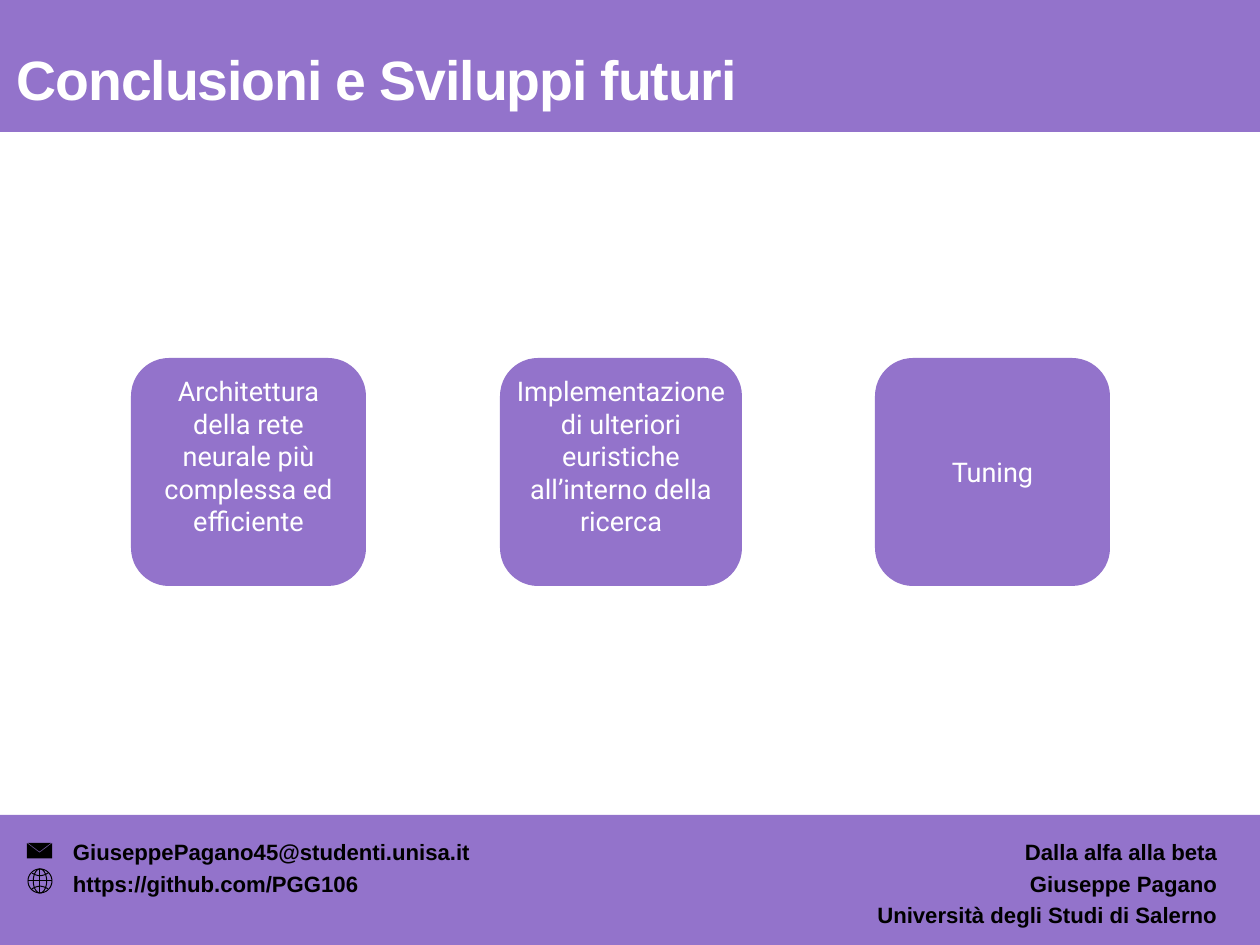
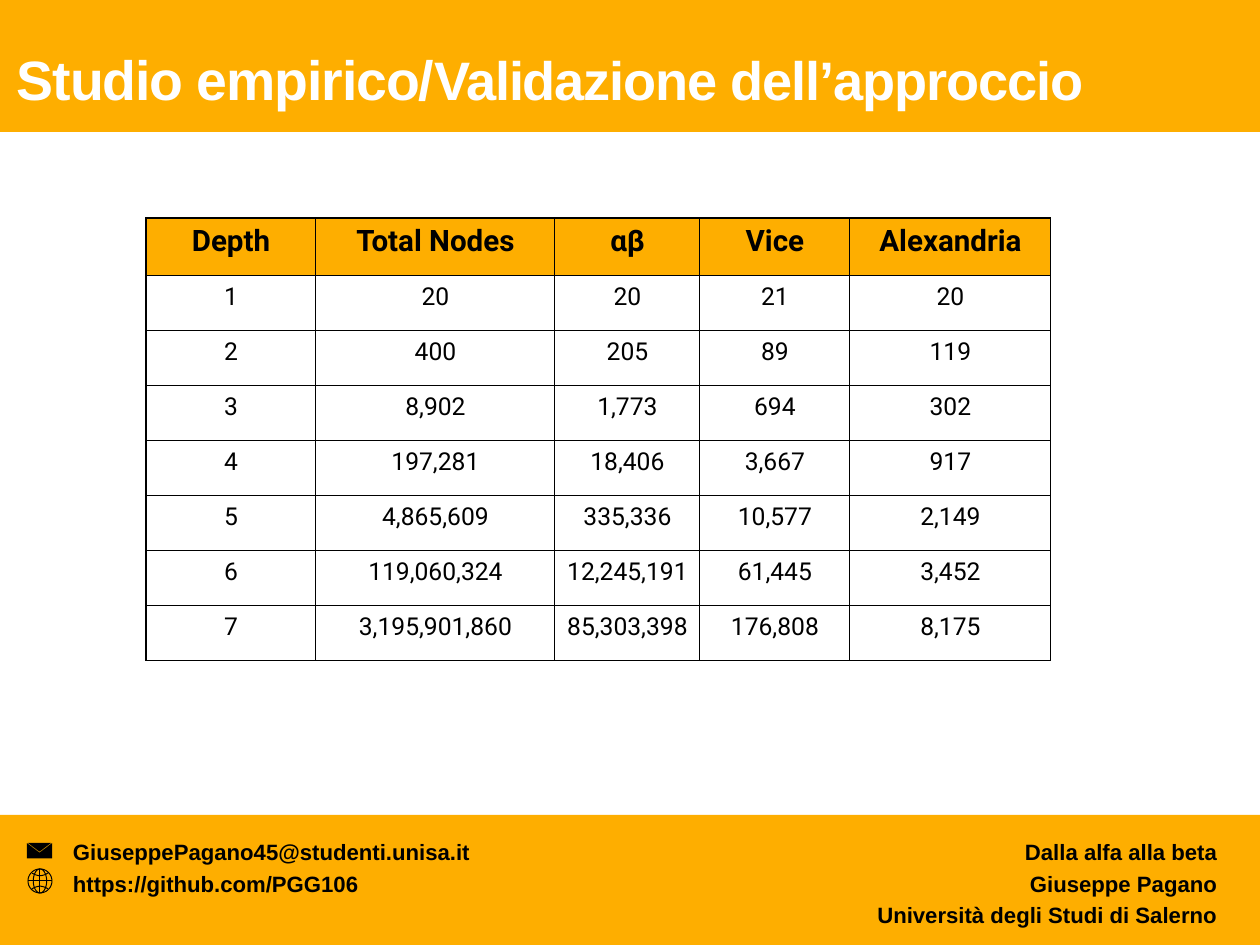
import math
from lxml import etree
from pptx import Presentation
from pptx import util as u
from pptx.dml.color import RGBColor
from pptx.enum import shapes, text
from pptx.oxml.ns import qn

PX = 10320
WIDTH, HEIGHT = 1260, 945
PURPLE = RGBColor(0x93, 0x73, 0xCB)
AMBER = RGBColor(0xFE, 0xAE, 0x00)
WHITE = RGBColor(0xFF, 0xFF, 0xFF)
BLACK = RGBColor(0x00, 0x00, 0x00)
LEFT, CENTER, RIGHT = text.PP_ALIGN.LEFT, text.PP_ALIGN.CENTER, text.PP_ALIGN.RIGHT
MIDDLE, BOTTOM = text.MSO_ANCHOR.MIDDLE, text.MSO_ANCHOR.BOTTOM


def write(shape, content, size, font, color, bold, align, spacing, anchor=MIDDLE, bottom=5):
    frame = shape.text_frame
    frame.word_wrap = True
    frame.vertical_anchor = anchor
    frame.margin_left = frame.margin_right = frame.margin_top = 5 * PX
    frame.margin_bottom = bottom * PX
    frame.text = content
    for paragraph in frame.paragraphs:
        paragraph.alignment = align
        paragraph.line_spacing = spacing
        for run in paragraph.runs:
            run.font.size = u.Pt(size)
            run.font.name = font
            run.font.bold = bold
            run.font.color.rgb = color


def draw(slide, contours, closed, left, top):
    builder = slide.shapes.build_freeform(*contours[0][0], scale=PX / 10)
    for contour in contours:
        builder.move_to(*contour[0])
        builder.add_line_segments(contour[1:], close=closed)
    shape = builder.convert_to_shape(left * PX, top * PX)
    shape.shadow.inherit = False
    return shape


envelope = [
    [(10, 0), (125, 87), (240, 0)],
    [(0, 2), (0, 155), (250, 155), (250, 2), (125, 97)],
]
globe = []
for radius in (120, 67, 0):
    angles = [math.radians(step * 10) for step in range(37)]
    globe.append([(round(radius * math.cos(a)), round(120 * math.sin(a))) for a in angles])
for side in (-1, 0, 1):
    reach = 80 if side else 120
    steps = [step / 8 for step in range(-8, 9)]
    globe.append([(round(reach * t), round(side * (53 + 26 * t * t))) for t in steps])

presentation = Presentation()
presentation.slide_width = WIDTH * PX
presentation.slide_height = HEIGHT * PX

pages = [
    (PURPLE, [("Conclusioni e Sviluppi futuri", 45)]),
    (AMBER, [("Studio empirico/", 45), ("Validazione dell’approccio", 44)]),
]
footers = [
    (68, LEFT, 36, "GiuseppePagano45@studenti.unisa.it\nhttps://github.com/PGG106"),
    (763, RIGHT, 5, "Dalla alfa alla beta\nGiuseppe Pagano\nUniversità degli Studi di Salerno"),
]
for accent, title_parts in pages:
    slide = presentation.slides.add_slide(presentation.slide_layouts[6])
    for top, height in ((0, 132), (815, 130)):
        band = slide.shapes.add_shape(
            shapes.MSO_SHAPE.RECTANGLE, 0, top * PX, WIDTH * PX, height * PX)
        band.shadow.inherit = False
        band.fill.solid()
        band.fill.fore_color.rgb = accent
        band.line.fill.background()

    envelope_icon = draw(slide, envelope, True, 27, 843)
    envelope_icon.fill.solid()
    envelope_icon.fill.fore_color.rgb = BLACK
    envelope_icon.line.fill.background()
    globe_icon = draw(slide, globe, False, 40, 881)
    globe_icon.fill.background()
    globe_icon.line.color.rgb = BLACK
    globe_icon.line.width = u.Pt(0.8)

    title = slide.shapes.add_textbox(12 * PX, 29 * PX, 1125 * PX, 87 * PX)
    write(title, title_parts[0][0], 45, "Arial", WHITE, True, LEFT, 0.8, BOTTOM)
    paragraph = title.text_frame.paragraphs[0]
    for part, size in title_parts[1:]:
        run = paragraph.add_run()
        run.text = part
        run.font.size = u.Pt(size)
        run.font.name = "Arial"
        run.font.bold = True
        run.font.color.rgb = WHITE
    for run in paragraph.runs:
        run._r.get_or_add_rPr().set("spc", "-90")

    for left, align, bottom, content in footers:
        footer = slide.shapes.add_textbox(left * PX, 829 * PX, 459 * PX, 103 * PX)
        write(footer, content, 18, "Arial", BLACK, True, align, 1.2, bottom=bottom)

conclusions, study = presentation.slides

cards = [
    (131, 235, 37, "Architettura della rete neurale più complessa ed efficiente"),
    (500, 242, 37, "Implementazione di ulteriori euristiche all’interno della ricerca"),
    (875, 235, 5, "Tuning"),
]
for left, width, bottom, content in cards:
    card = conclusions.shapes.add_shape(
        shapes.MSO_SHAPE.ROUNDED_RECTANGLE, left * PX, 358 * PX, width * PX, 228 * PX)
    card.shadow.inherit = False
    card.fill.solid()
    card.fill.fore_color.rgb = PURPLE
    card.line.fill.background()
    write(card, content, 22, "Roboto", WHITE, False, CENTER, 1.0, bottom=bottom)

rows = [
    ("Depth", "Total Nodes", "αβ", "Vice", "Alexandria"),
    ("1", "20", "20", "21", "20"),
    ("2", "400", "205", "89", "119"),
    ("3", "8,902", "1,773", "694", "302"),
    ("4", "197,281", "18,406", "3,667", "917"),
    ("5", "4,865,609", "335,336", "10,577", "2,149"),
    ("6", "119,060,324", "12,245,191", "61,445", "3,452"),
    ("7", "3,195,901,860", "85,303,398", "176,808", "8,175"),
]
column_widths = [170, 239, 145, 150, 201]
row_heights = [58] + [55] * 7
table = study.shapes.add_table(
    len(rows), len(column_widths), 146 * PX, 218 * PX,
    sum(column_widths) * PX, sum(row_heights) * PX).table
table.first_row = False
table.horz_banding = False
for column, width in zip(table.columns, column_widths):
    column.width = width * PX
for row_index, values in enumerate(rows):
    header = row_index == 0
    table.rows[row_index].height = row_heights[row_index] * PX
    for column_index, value in enumerate(values):
        cell = table.cell(row_index, column_index)
        cell.margin_left = cell.margin_right = cell.margin_top = cell.margin_bottom = 9 * PX
        cell.text = value
        paragraph = cell.text_frame.paragraphs[0]
        paragraph.alignment = CENTER
        paragraph.line_spacing = 0.9
        font = paragraph.runs[0].font
        font.size = u.Pt(24 if header else 20)
        font.name = "Roboto"
        font.bold = header
        font.color.rgb = BLACK
        properties = cell._tc.get_or_add_tcPr()
        for edge in ("a:lnL", "a:lnR", "a:lnT", "a:lnB"):
            border = etree.SubElement(properties, qn(edge), w=str(u.Pt(1)))
            fill = etree.SubElement(border, qn("a:solidFill"))
            etree.SubElement(fill, qn("a:srgbClr"), val=str(BLACK))
        cell.fill.solid()
        cell.fill.fore_color.rgb = AMBER if header else WHITE

presentation.save("out.pptx")
